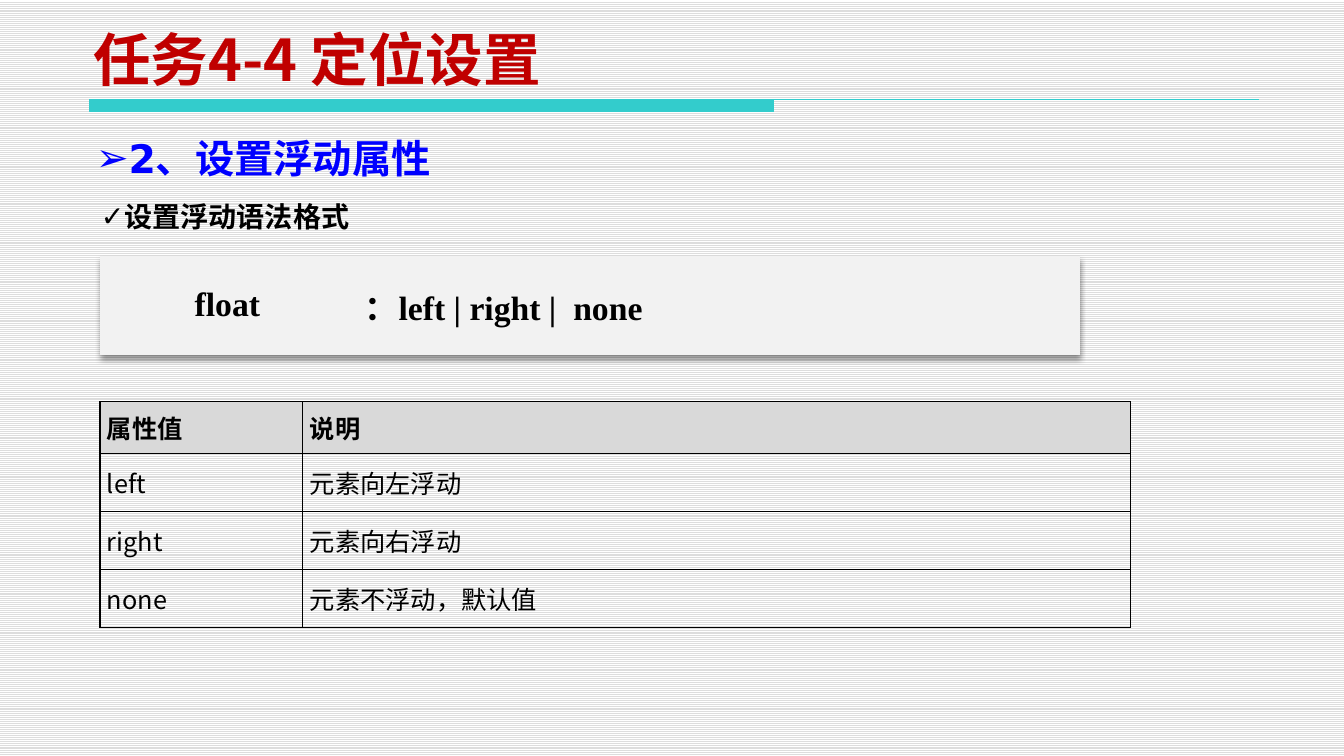
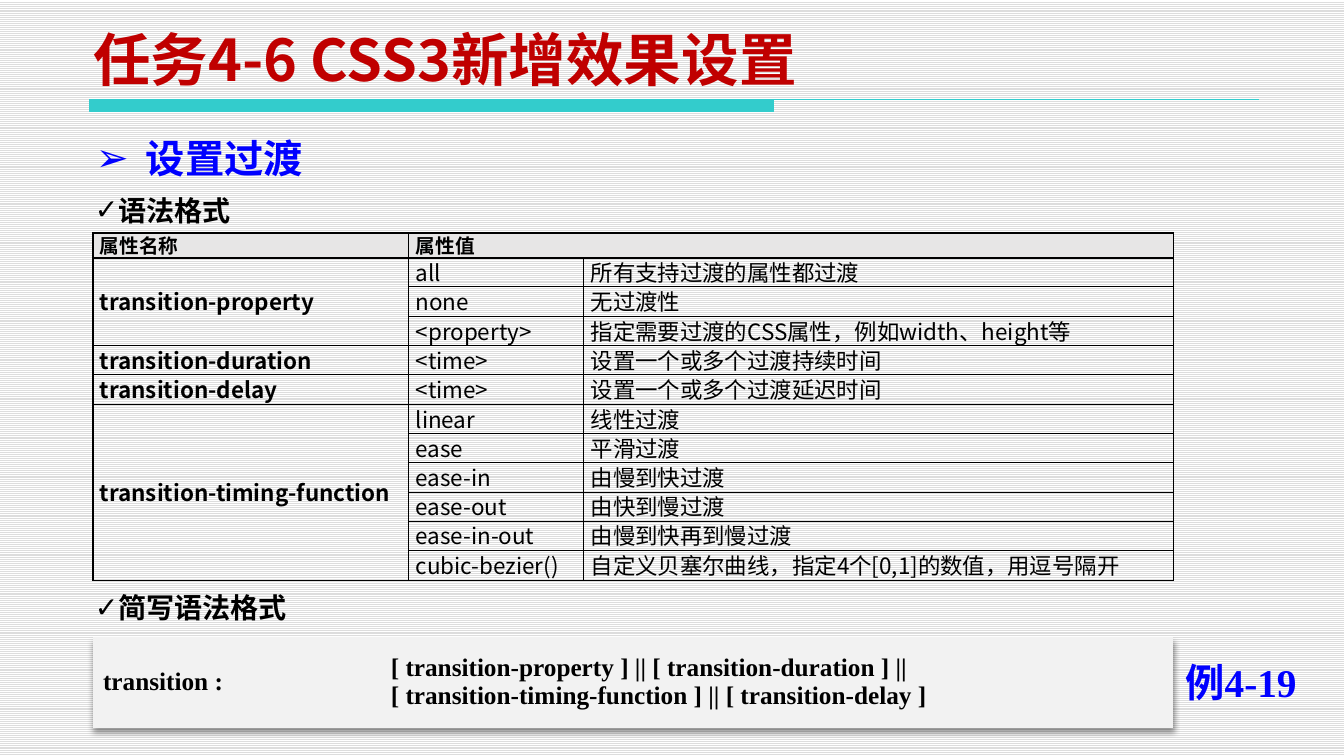
from lxml.etree import SubElement
from pptx import Presentation
from pptx.dml.color import RGBColor
from pptx.enum.dml import MSO_PATTERN
from pptx.enum.text import MSO_ANCHOR as ANCHOR, MSO_AUTO_SIZE as AUTO, PP_ALIGN as ALIGN
from pptx.oxml import parse_xml
from pptx.oxml.ns import nsdecls, qn
from pptx.util import Emu, Inches, Pt

BLACK = RGBColor(0x00, 0x00, 0x00)
WHITE = RGBColor(0xFF, 0xFF, 0xFF)
STRIPE = RGBColor(0xDD, 0xDD, 0xDD)
TEAL = RGBColor(0x33, 0xCC, 0xCC)
RED = RGBColor(0xC0, 0x00, 0x00)
BLUE = RGBColor(0x00, 0x00, 0xFF)
PANEL = RGBColor(0xF2, 0xF2, 0xF2)
HEAD_GRAY = RGBColor(0xD9, 0xD9, 0xD9)
HEAD_WARM = RGBColor(0xE7, 0xE6, 0xE6)

SANS = "Noto Sans CJK SC"
SERIF = "Times New Roman"
HEADING = "DejaVu Sans"
BODY = "Calibri"
PLAIN_TABLE = "{2D5ABB26-0587-4C30-8999-92F81FD0307C}"
SCALE = 9045


def px(n):
    return Emu(n * SCALE)


class Deck:
    def __init__(self):
        self.prs = Presentation()
        self.prs.slide_width, self.prs.slide_height = Inches(13.3), Inches(7.48)
        fill = self.prs.slide_master.background.fill
        fill.patterned()
        fill.pattern = MSO_PATTERN.LIGHT_HORIZONTAL
        fill.fore_color.rgb, fill.back_color.rgb = STRIPE, WHITE
        self.slide = None

    def new_slide(self, title):
        self.slide = self.prs.slides.add_slide(self.prs.slide_layouts[5])
        self.band()
        sp = self.slide.shapes.title
        sp.left, sp.top, sp.width, sp.height = px(83), px(28), px(812), px(70)
        tf = sp.text_frame
        tf.text = title
        tf.auto_size = AUTO.NONE
        tf.vertical_anchor = ANCHOR.BOTTOM
        self.style(tf.paragraphs[0], 41, SANS, RED)

    def band(self):
        outline = self.slide.shapes.build_freeform(90, 100, SCALE)
        outline.add_line_segments([(774, 100), (774, 112), (90, 112)])
        outline.move_to(90, 100)
        outline.add_line_segments([(1260, 100)], close=False)
        sp = outline.convert_to_shape()
        sp.shadow.inherit = False
        sp.fill.solid()
        sp.fill.fore_color.rgb = sp.line.color.rgb = TEAL
        sp.line.width = Pt(0.75)

    def style(self, p, size, font, color=BLACK, bold=True, align=ALIGN.LEFT):
        p.alignment = align
        for r in p.runs:
            r.font.size, r.font.name, r.font.bold = Pt(size), font, bold
            r.font.color.rgb = color
            SubElement(r._r.get_or_add_rPr(), qn("a:ea")).set("typeface", SANS)

    def text(self, x, y, w, h, text, size, font, color=BLACK, bullet=None, indent=0):
        tf = self.slide.shapes.add_textbox(px(x), px(y), px(w), px(h)).text_frame
        tf.word_wrap = True
        tf.text = text
        p = tf.paragraphs[0]
        if bullet:
            pPr = p._p.get_or_add_pPr()
            pPr.set("marL", str(px(indent)))
            pPr.set("indent", str(px(-indent)))
            SubElement(pPr, qn("a:buFont")).set("typeface", HEADING)
            SubElement(pPr, qn("a:buChar")).set("char", bullet)
        self.style(p, size, font, color)

    def heading(self, text, indent=0):
        self.text(86, 129, 875, 58, text, 28, HEADING, BLUE, "➢", indent)

    def subheading(self, x, y, text):
        self.text(x, y, 741, 44, text, 20, SERIF, bullet="✓")

    def table(self, x, y, cols, rows):
        frame = self.slide.shapes.add_table(
            len(rows), len(cols), px(x), px(y), px(sum(cols)), px(sum(rows)))
        tbl = frame.table
        tbl.first_row = tbl.horz_banding = False
        tbl._tbl.tblPr.find(qn("a:tableStyleId")).text = PLAIN_TABLE
        for col, w in zip(tbl.columns, cols):
            col.width = px(w)
        for row, h in zip(tbl.rows, rows):
            row.height = px(h)
        return tbl

    def cell(self, cell, text, size, font, bold=True, fill=None, align=ALIGN.LEFT,
             anchor=ANCHOR.MIDDLE, tight=True, spacing=None):
        cell.text_frame.text = text
        cell.vertical_anchor = anchor
        if tight:
            cell.margin_left = cell.margin_right = px(7)
            cell.margin_top = cell.margin_bottom = 0
        for p in cell.text_frame.paragraphs:
            self.style(p, size, font, BLACK, bold, align)
            if spacing:
                p.line_spacing = spacing
        if fill is None:
            cell.fill.background()
        else:
            cell.fill.solid()
            cell.fill.fore_color.rgb = fill

    def grid(self, tbl):
        for cell in tbl.iter_cells():
            tcPr = cell._tc.get_or_add_tcPr()
            for i, side in enumerate("LRTB"):
                tcPr.insert(i, parse_xml(
                    f'<a:ln{side} {nsdecls("a")} w="12700"><a:solidFill>'
                    f'<a:srgbClr val="{BLACK}"/></a:solidFill></a:ln{side}>'))

    def syntax_panel(self, x, y, cols, h, name, value, size, align, tight):
        tbl = self.table(x, y, cols, [h])
        tbl._tbl.tblPr.insert(0, parse_xml(
            f'<a:effectLst {nsdecls("a")}><a:outerShdw blurRad="50800" dist="38100" '
            f'dir="5400000"><a:srgbClr val="{BLACK}"><a:alpha val="40000"/></a:srgbClr>'
            '</a:outerShdw></a:effectLst>'))
        self.cell(tbl.cell(0, 0), name, size, SERIF, fill=PANEL, align=align, tight=False)
        self.cell(tbl.cell(0, 1), value, size, SERIF, fill=PANEL, tight=tight)


def float_slide(deck):
    deck.new_slide("任务4-4 定位设置")
    deck.subheading(91, 195, "设置浮动语法格式")
    deck.heading("2、设置浮动属性")
    deck.syntax_panel(100, 256, [255, 725], 99, "float", "：left | right |  none",
                      24, ALIGN.CENTER, False)
    rows = [("属性值", "说明"), ("left", "元素向左浮动"),
            ("right", "元素向右浮动"), ("none", "元素不浮动，默认值")]
    tbl = deck.table(100, 402, [203, 828], [52, 58, 58, 58])
    for i, row in enumerate(rows):
        for j, text in enumerate(row):
            font = SANS if i and j == 0 else BODY
            deck.cell(tbl.cell(i, j), text, 18, font, i == 0, None if i else HEAD_GRAY)
    deck.grid(tbl)


def transition_slide(deck):
    deck.new_slide("任务4-6 CSS3新增效果设置")
    deck.heading("设置过渡", 50)
    deck.subheading(85, 586, "简写语法格式")
    deck.syntax_panel(93, 637, [291, 790], 91, "transition :",
                      "[ transition-property ] || [ transition-duration ] ||\n"
                      "[ transition-timing-function ] || [ transition-delay ]",
                      18, ALIGN.LEFT, True)
    groups = [
        ("transition-property", [
            ("all", "所有支持过渡的属性都过渡"), ("none", "无过渡性"),
            ("<property>", "指定需要过渡的CSS属性，例如width、height等")]),
        ("transition-duration", [("<time>", "设置一个或多个过渡持续时间")]),
        ("transition-delay", [("<time>", "设置一个或多个过渡延迟时间")]),
        ("transition-timing-function", [
            ("linear", "线性过渡"), ("ease", "平滑过渡"), ("ease-in", "由慢到快过渡"),
            ("ease-out", "由快到慢过渡"), ("ease-in-out", "由慢到快再到慢过渡"),
            ("cubic-bezier()", "自定义贝塞尔曲线，指定4个[0,1]的数值，用逗号隔开")]),
    ]
    tbl = deck.table(93, 233, [316, 175, 590], [25] + [29, 30, 29] * 3 + [29, 30])
    tbl.cell(0, 1).merge(tbl.cell(0, 2))
    for j, text in enumerate(("属性名称", "属性值")):
        deck.cell(tbl.cell(0, j), text, 14, SANS, fill=HEAD_WARM, anchor=ANCHOR.TOP, spacing=0.9)
    top = 1
    for name, values in groups:
        if len(values) > 1:
            tbl.cell(top, 0).merge(tbl.cell(top + len(values) - 1, 0))
        deck.cell(tbl.cell(top, 0), name, 16, SANS, spacing=0.9)
        for i, row in enumerate(values, top):
            for j, text in enumerate(row, 1):
                deck.cell(tbl.cell(i, j), text, 16, SANS, False, spacing=0.9)
        top += len(values)
    deck.grid(tbl)
    deck.subheading(85, 188, "语法格式")
    deck.text(1176, 653, 152, 58, "例4-19", 28, SERIF, BLUE)


def main():
    deck = Deck()
    float_slide(deck)
    transition_slide(deck)
    deck.prs.save("out.pptx")


if __name__ == "__main__":
    main()
